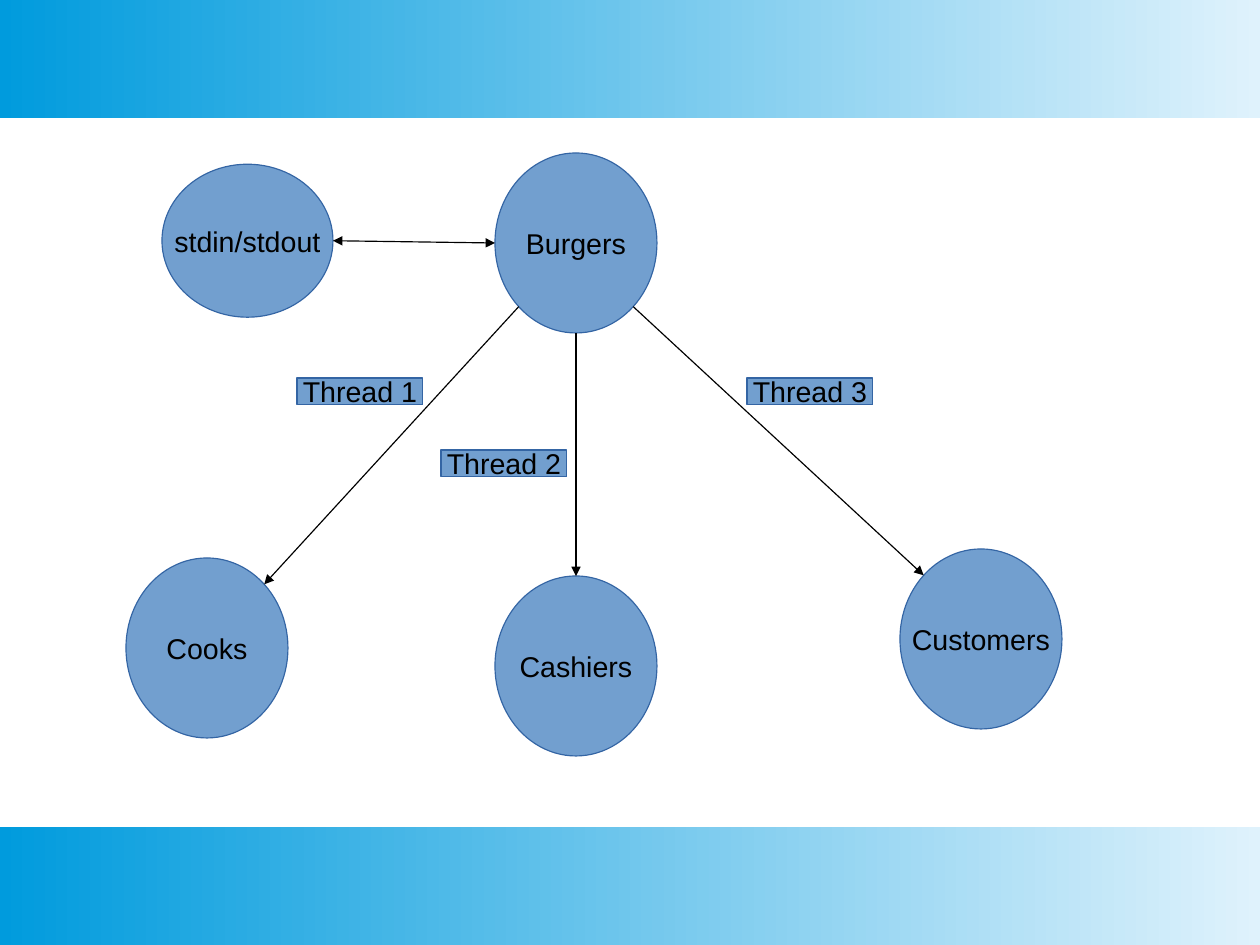
from math import cos, radians, sin

from pptx import Presentation
from pptx.dml.color import RGBColor as RGB
from pptx.enum.shapes import MSO_CONNECTOR as CONN, MSO_SHAPE as SHAPE
from pptx.enum.text import MSO_ANCHOR as ANCHOR, PP_ALIGN as ALIGN
from pptx.oxml.ns import qn
from pptx.util import Cm, Pt
from lxml.etree import SubElement

WIDTH, HEIGHT, BAND = 28, 21, 2.62
LARGE, SMALL, TAG = (3.6, 4), (3.8, 3.4), (2.8, 0.6)
RIGHT, LOWER_RIGHT, BOTTOM, LOWER_LEFT = 0, 45, 90, 135
LEFT, TOP_LEFT, TOP, TOP_RIGHT = 180, 225, 270, 315

NODES = {
    "Burgers": (11, 3.4, *LARGE),
    "Customers": (20, 12.2, *LARGE),
    "Cooks": (2.8, 12.4, *LARGE),
    "Cashiers": (11, 12.8, *LARGE),
    "stdin/stdout": (3.6, 3.65, *SMALL),
}
ARROWS = [
    ("Burgers", LOWER_LEFT, "Cooks", TOP_RIGHT, ["tailEnd"]),
    ("Burgers", BOTTOM, "Cashiers", TOP, ["tailEnd"]),
    ("Burgers", LOWER_RIGHT, "Customers", TOP_LEFT, ["tailEnd"]),
    ("stdin/stdout", RIGHT, "Burgers", LEFT, ["headEnd", "tailEnd"]),
]
THREADS = {
    "Thread 1": (6.6, 8.4, *TAG),
    "Thread 3": (16.6, 8.4, *TAG),
    "Thread 2": (9.8, 10, *TAG),
}
THEME = {
    "fill": RGB(0x72, 0x9F, 0xCF),
    "outline": RGB(0x34, 0x65, 0xA4),
    "ink": RGB(0, 0, 0),
    "band": [RGB(0xDF, 0xF2, 0xFC), RGB(0x00, 0x9B, 0xDD)],
    "line": Pt(0.75),
    "font": {"name": "Arial", "size": Pt(18)},
}
FRAME = {"word_wrap": False, "vertical_anchor": ANCHOR.MIDDLE}


def apply(target, values):
    for name, value in values.items():
        setattr(target, name, value)


def add_box(s, kind, box):
    sp = s.shapes.add_shape(kind, *map(Cm, box))
    sp.shadow.inherit = False
    return sp


def add_band(s, top):
    sp = add_box(s, SHAPE.RECTANGLE, (0, top, WIDTH, BAND))
    sp.line.fill.background()
    sp.fill.gradient()
    sp.fill.gradient_angle = 180
    for stop, color in zip(sp.fill.gradient_stops, THEME["band"]):
        stop.color.rgb = color


def add_label(s, kind, text, box):
    sp = add_box(s, kind, box)
    sp.fill.solid()
    sp.fill.fore_color.rgb = THEME["fill"]
    sp.line.color.rgb = THEME["outline"]
    sp.line.width = THEME["line"]
    tf = sp.text_frame
    apply(tf, FRAME)
    p = tf.paragraphs[0]
    p.alignment = ALIGN.CENTER
    r = p.add_run()
    r.text = text
    apply(r.font, THEME["font"])
    r.font.color.rgb = THEME["ink"]


def rim_point(node, angle):
    x, y, w, h = NODES[node]
    a = radians(angle)
    return Cm(x + w / 2 * (1 + cos(a))), Cm(y + h / 2 * (1 + sin(a)))


def add_arrow(s, start, start_angle, end, end_angle, heads):
    c = s.shapes.add_connector(
        CONN.STRAIGHT, *rim_point(start, start_angle), *rim_point(end, end_angle)
    )
    c.line.color.rgb = THEME["ink"]
    c.line.width = THEME["line"]
    ln = c.line._get_or_add_ln()
    for head in heads:
        SubElement(ln, qn(f"a:{head}"), type="triangle")
    SubElement(c._element.spPr, qn("a:effectLst"))


def main():
    prs = Presentation()
    prs.slide_width, prs.slide_height = Cm(WIDTH), Cm(HEIGHT)
    s = prs.slides.add_slide(prs.slide_layouts.get_by_name("Blank"))
    for top in (0, HEIGHT - BAND):
        add_band(s, top)
    for text, box in NODES.items():
        add_label(s, SHAPE.OVAL, text, box)
    for arrow in ARROWS:
        add_arrow(s, *arrow)
    for text, box in THREADS.items():
        add_label(s, SHAPE.RECTANGLE, text, box)
    prs.save("out.pptx")


if __name__ == "__main__":
    main()
